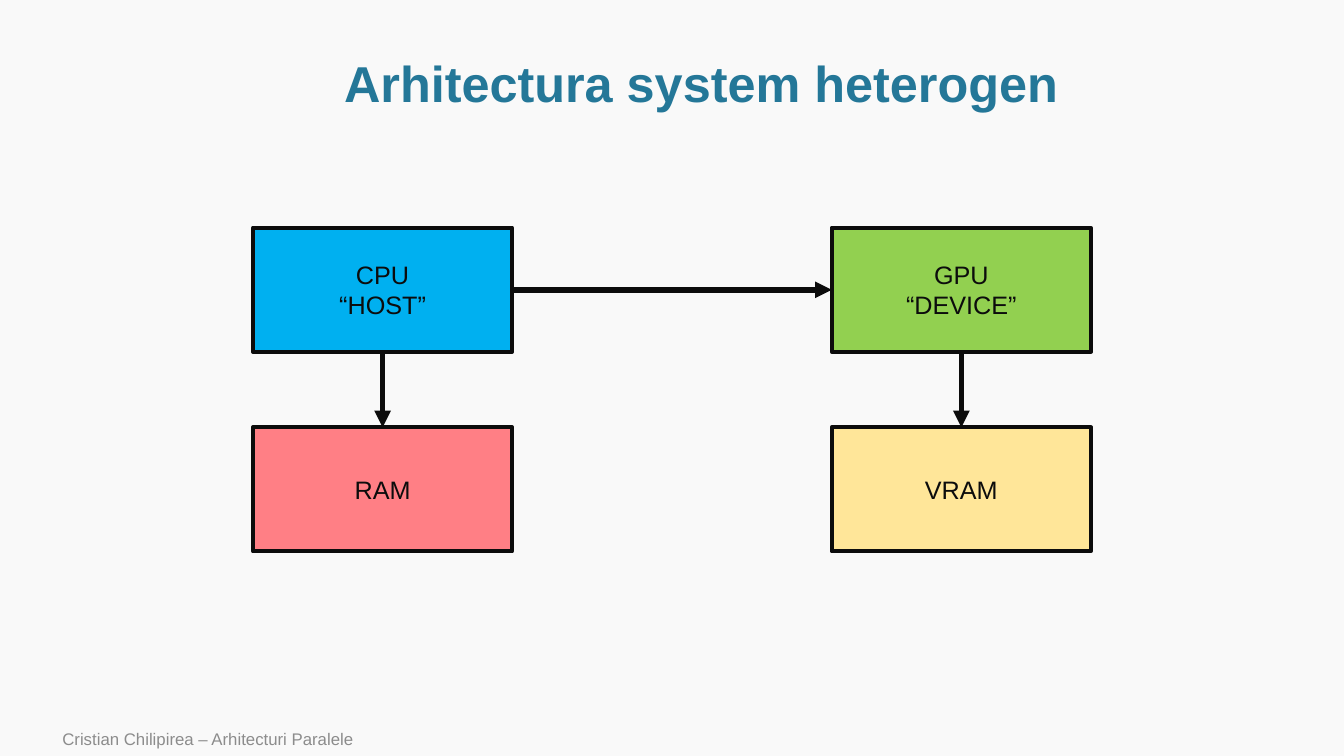
import pptx
import pptx.util
import pptx.dml.color
import pptx.enum.shapes
import pptx.enum.text
import pptx.oxml.ns
import lxml.etree

Inches, Pt = pptx.util.Inches, pptx.util.Pt
PP_ALIGN = pptx.enum.text.PP_ALIGN
HEX = {
    "back": "F9F9F9", "title": "247798", "foot": "8C8C8C", "ink": "0C0C0C",
    "cpu": "00B0F0", "gpu": "92D050", "ram": "FF7F85", "vram": "FFE699",
}


def tint(name):
    return pptx.dml.color.RGBColor.from_string(HEX[name])


def write(shape, text, size, color, align, bold=False):
    frame = shape.text_frame
    frame.word_wrap = True
    frame.vertical_anchor = pptx.enum.text.MSO_ANCHOR.MIDDLE
    frame.text = text
    for para in frame.paragraphs:
        para.alignment = align
        para.font.name = "Arial"
        para.font.size = Pt(size)
        para.font.bold = bold
        para.font.color.rgb = tint(color)


deck = pptx.Presentation()
deck.slide_width, deck.slide_height = Inches(13.33), Inches(7.5)
slide = deck.slides.add_slide(deck.slide_layouts[6])
slide.background.fill.solid()
slide.background.fill.fore_color.rgb = tint("back")

foot = slide.shapes.add_textbox(Inches(0.52), Inches(7.16), Inches(8.4), Inches(0.34))
write(foot, "Cristian Chilipirea – Arhitecturi Paralele", 12, "foot", PP_ALIGN.LEFT)

title = slide.shapes.add_textbox(Inches(1.14), Inches(0.51), Inches(11.63), Inches(0.69))
write(title, "Arhitectura system heterogen", 36, "title", PP_ALIGN.CENTER, True)
title.text_frame.paragraphs[0].line_spacing = 0.9

left, top, wide, high = 2.51, 2.26, 2.57, 1.23
col_step, row_step = 5.74, 1.98
units = [
    ("cpu", "CPU\n“HOST”", 0, 0),
    ("gpu", "GPU\n“DEVICE”", 1, 0),
    ("ram", "RAM", 0, 1),
    ("vram", "VRAM", 1, 1),
]
boxes = {}
for name, text, col, row in units:
    box = slide.shapes.add_shape(
        pptx.enum.shapes.MSO_SHAPE.RECTANGLE,
        Inches(left + col * col_step), Inches(top + row * row_step),
        Inches(wide), Inches(high))
    box.shadow.inherit = False
    box.fill.solid()
    box.fill.fore_color.rgb = tint(name)
    box.line.color.rgb = tint("ink")
    box.line.width = Pt(3)
    write(box, text, 18, "ink", PP_ALIGN.CENTER)
    boxes[name] = box

qn = pptx.oxml.ns.qn
for start, out, end, into in [("cpu", 2, "ram", 0), ("cpu", 3, "gpu", 1), ("gpu", 2, "vram", 0)]:
    link = slide.shapes.add_connector(pptx.enum.shapes.MSO_CONNECTOR.STRAIGHT, 0, 0, 0, 0)
    link.begin_connect(boxes[start], out)
    link.end_connect(boxes[end], into)
    link.line.color.rgb = tint("ink")
    link.line.width = Pt(4)
    props = link.element.spPr
    lxml.etree.SubElement(props.find(qn("a:ln")), qn("a:tailEnd"), type="triangle")
    lxml.etree.SubElement(props, qn("a:effectLst"))

deck.save("out.pptx")
